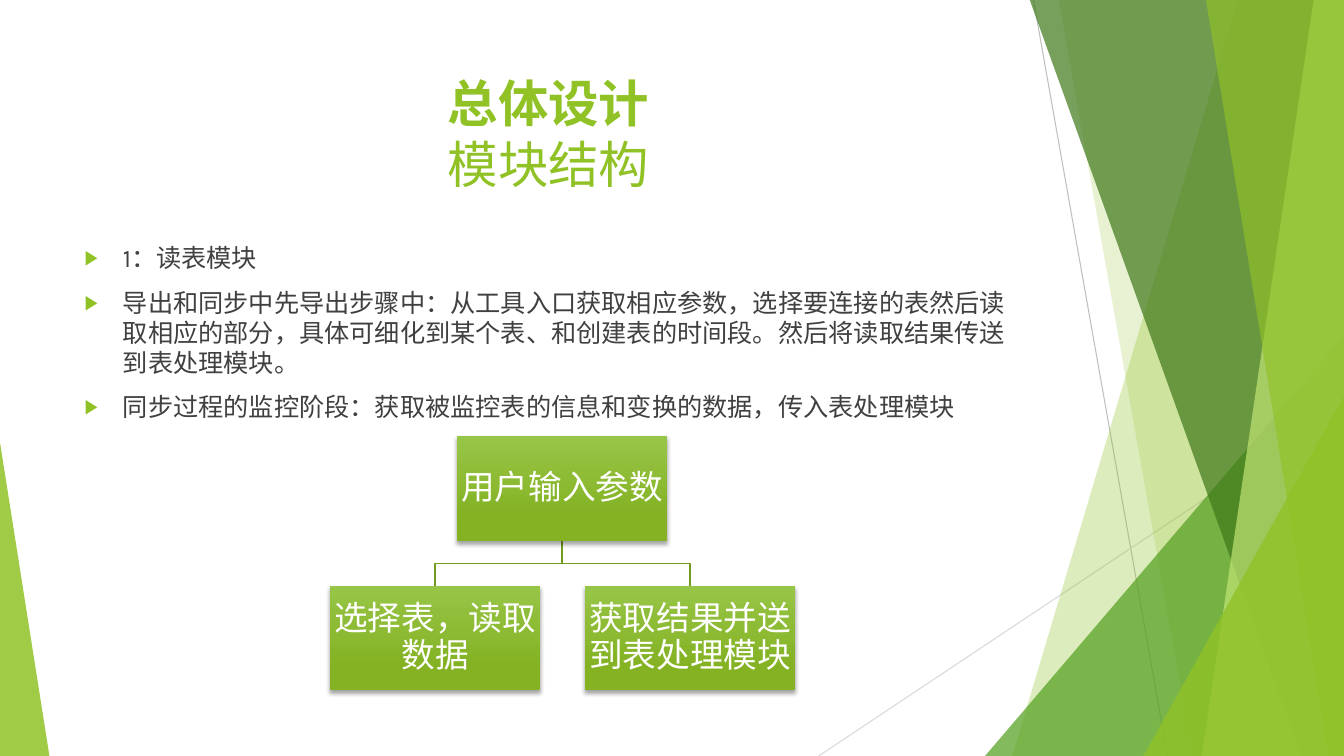
from lxml import etree
from pptx import Presentation
from pptx.dml.color import RGBColor
from pptx.enum.shapes import MSO_CONNECTOR as CONNECTOR, MSO_SHAPE as SHAPE
from pptx.enum.text import MSO_ANCHOR as ANCHOR, PP_ALIGN as ALIGN
from pptx.oxml import parse_xml
from pptx.oxml.ns import nsdecls, qn
from pptx.util import Inches, Pt

WIDTH, HEIGHT = 13.33, 7.5
GREEN = "90C226"
NODE_WIDTH, NODE_HEIGHT = 2.09, 1.04
ROOT_LEFT, ROOT_TOP, CHILD_TOP = 4.53, 4.33, 5.81


def rgb(value):
    return RGBColor.from_string(value)


def apply(target, **values):
    for name, value in values.items():
        setattr(target, name, value)


def paint(shape, color, opacity):
    shape.shadow.inherit = False
    shape.fill.solid()
    shape.fill.fore_color.rgb = rgb(color)
    shape.line.fill.background()
    tint = shape.element.xpath("./p:spPr/a:solidFill/a:srgbClr")[0]
    etree.SubElement(tint, qn("a:alpha"), val=str(opacity * 1000))


def add_path(page, points, close):
    corners = [(Inches(x), Inches(y)) for x, y in points]
    builder = page.shapes.build_freeform(*corners[0], scale=1.0)
    builder.add_line_segments(corners[1:], close=close)
    return builder.convert_to_shape()


def add_band(page, top_x, bottom_x, color, opacity):
    points = [(top_x, -0.01), (WIDTH, -0.01), (WIDTH, HEIGHT), (bottom_x, HEIGHT)]
    paint(add_path(page, points, True), color, opacity)


def add_triangle(page, left, top, width, apex, color, opacity):
    shape = page.shapes.add_shape(SHAPE.ISOSCELES_TRIANGLE, Inches(left), Inches(top),
                                  Inches(width), Inches(HEIGHT - top))
    shape.adjustments[0] = apex
    paint(shape, color, opacity)


def add_line(page, start, end, color):
    line = page.shapes.add_connector(CONNECTOR.STRAIGHT, *map(Inches, start + end))
    line.line.color.rgb = rgb(color)
    line.line.width = Pt(0.75)
    etree.SubElement(line.element.spPr, qn("a:effectLst"))


def add_span(para, text, size, color, bold=False):
    span = para.add_run()
    span.text = text
    apply(span.font, name="Karla", size=Pt(size), bold=bold)
    span.font.color.rgb = rgb(color)


def add_box(page, left, top, width, height):
    box = page.shapes.add_textbox(*map(Inches, (left, top, width, height)))
    box.text_frame.word_wrap = True
    return box.text_frame


def add_title(page, heading, subheading):
    para = add_box(page, 0.74, 0.67, 9.4, 1.44).paragraphs[0]
    para.alignment = ALIGN.CENTER
    add_span(para, heading, 36, GREEN, True)
    para.add_line_break()
    add_span(para, subheading, 36, GREEN)


def add_bullets(page, items):
    frame = add_box(page, 0.74, 2.36, 9.4, 1.9)
    for index, item in enumerate(items):
        para = frame.add_paragraph() if index else frame.paragraphs[0]
        if index:
            para.space_before = Pt(10)
        props = para._p.get_or_add_pPr()
        props.set("marL", str(Inches(0.38)))
        props.set("indent", str(Inches(-0.38)))
        color = etree.SubElement(props, qn("a:buClr"))
        etree.SubElement(color, qn("a:srgbClr"), val=GREEN)
        etree.SubElement(props, qn("a:buSzPct"), val="80000")
        etree.SubElement(props, qn("a:buFont"), typeface="Arial")
        etree.SubElement(props, qn("a:buChar"), char="▶")
        add_span(para, item, 18, "404040")


def add_branch(page, child_left):
    root_x, child_x = ROOT_LEFT + NODE_WIDTH / 2, child_left + NODE_WIDTH / 2
    root_bottom = ROOT_TOP + NODE_HEIGHT
    middle = (root_bottom + CHILD_TOP) / 2
    branch = add_path(page, [(root_x, root_bottom), (root_x, middle),
                             (child_x, middle), (child_x, CHILD_TOP)], False)
    branch.shadow.inherit = False
    branch.fill.background()
    branch.line.color.rgb = rgb("739B1E")
    branch.line.width = Pt(1)


def add_node(page, left, top, text):
    node = page.shapes.add_shape(SHAPE.RECTANGLE, Inches(left), Inches(top),
                                 Inches(NODE_WIDTH), Inches(NODE_HEIGHT))
    node.line.fill.background()
    node.fill.gradient()
    node.fill.gradient_angle = 270
    stops = ((0, "97C547"), (0.78, "84B223"))
    for stop, (position, color) in zip(node.fill.gradient_stops, stops):
        stop.position = position
        stop.color.rgb = rgb(color)
    node.shadow.inherit = False
    node.element.spPr.find(qn("a:effectLst")).append(parse_xml(
        f'<a:outerShdw {nsdecls("a")} blurRad="{Pt(3)}" dist="{Pt(2)}" dir="5400000" '
        'rotWithShape="0"><a:srgbClr val="000000"><a:alpha val="35000"/></a:srgbClr>'
        '</a:outerShdw>'))
    inset = Inches(0.02)
    apply(node.text_frame, word_wrap=True, vertical_anchor=ANCHOR.MIDDLE, margin_left=inset,
          margin_right=inset, margin_top=inset, margin_bottom=inset)
    para = node.text_frame.paragraphs[0]
    apply(para, alignment=ALIGN.CENTER, line_spacing=0.9)
    add_span(para, text, 24, "FFFFFF")


def add_backdrop(page):
    add_line(page, (10.25, 0), (11.58, HEIGHT), "BFBFBF")
    add_line(page, (WIDTH, 4.03), (8.12, HEIGHT), "D9D9D9")
    add_band(page, 12.28, 10.04, GREEN, 30)
    add_band(page, 10.5, 11.83, GREEN, 20)
    add_triangle(page, 9.77, 3.33, 3.56, 1, "54A021", 72)
    add_band(page, 10.21, 12.91, "3F7819", 70)
    add_band(page, 13.03, 11.92, "C0E474", 70)
    add_band(page, 11.96, 13.18, GREEN, 65)
    add_triangle(page, 11.34, 3.93, 1.99, 1, GREEN, 80)
    add_triangle(page, 0, 4.39, 0.49, 0, GREEN, 85)


def main():
    deck = Presentation()
    apply(deck, slide_width=Inches(WIDTH), slide_height=Inches(HEIGHT))
    page = deck.slides.add_slide(deck.slide_layouts[6])
    add_backdrop(page)
    add_title(page, "总体设计", "模块结构")
    add_bullets(page, [
        "1：读表模块",
        "导出和同步中先导出步骤中：从工具入口获取相应参数，选择要连接的表然后读取相应的部分，"
        "具体可细化到某个表、和创建表的时间段。然后将读取结果传送到表处理模块。",
        "同步过程的监控阶段：获取被监控表的信息和变换的数据，传入表处理模块",
    ])
    children = [(3.27, "选择表，读取数据"), (5.8, "获取结果并送到表处理模块")]
    for left, _ in children:
        add_branch(page, left)
    add_node(page, ROOT_LEFT, ROOT_TOP, "用户输入参数")
    for left, text in children:
        add_node(page, left, CHILD_TOP, text)
    deck.save("out.pptx")


if __name__ == "__main__":
    main()
